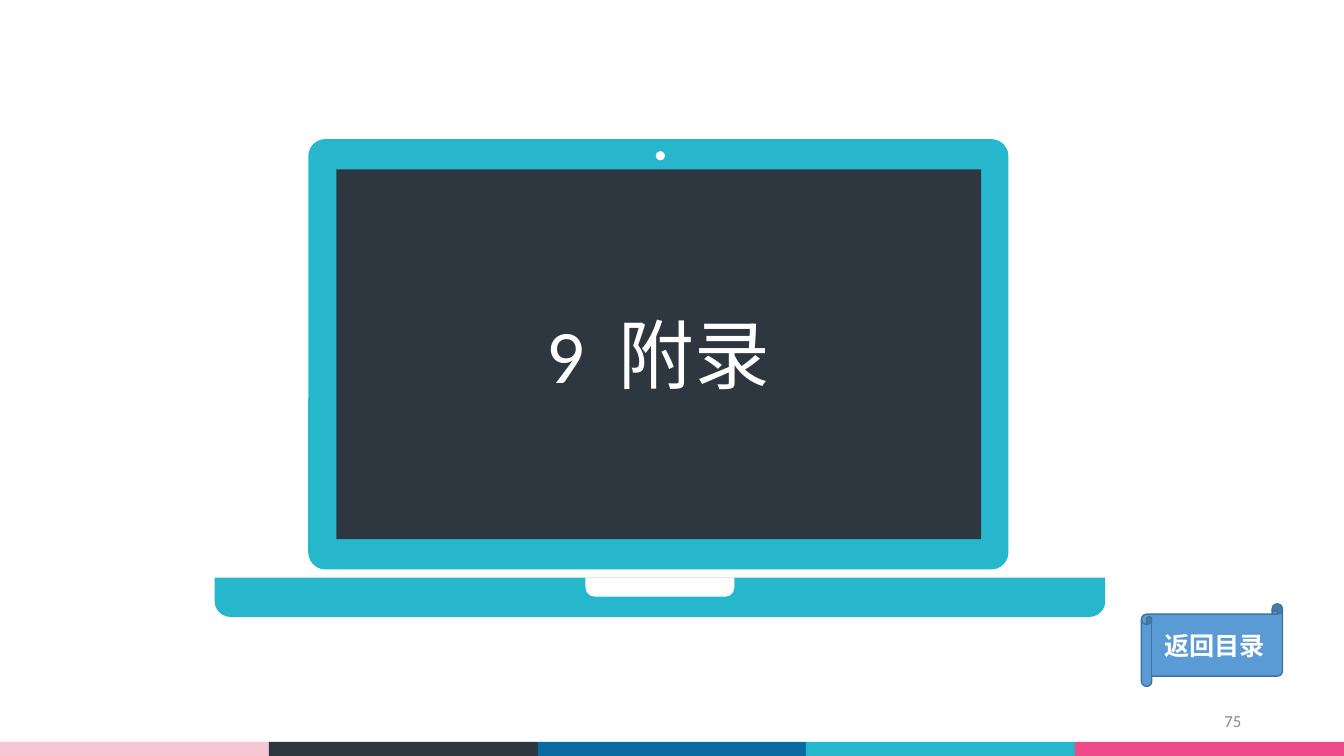
from dataclasses import dataclass

from lxml import etree
from pptx import Presentation
from pptx import util as u
from pptx.dml.color import RGBColor
from pptx.enum import shapes, text
from pptx.oxml import ns

SCALE = 9144
SLIDE_W, SLIDE_H = 1334, 750
COLORS = {
    "white": "FFFFFF",
    "pink": "F6C6D5",
    "dark": "2E3740",
    "blue": "0A6AA1",
    "teal": "26B7CC",
    "magenta": "ED4989",
    "scroll": "5B9BD5",
    "scroll_edge": "41719C",
    "grey": "898989",
}
STRIPE_COLORS = ("pink", "dark", "blue", "teal", "magenta")
STRIPE_TOP = 736
LATIN, CHINESE = "Calibri", "Noto Sans CJK SC"
PRESET = shapes.MSO_SHAPE


@dataclass(frozen=True)
class Block:
    preset: shapes.MSO_SHAPE
    left: int
    top: int
    width: int
    height: int
    fill: str
    adjustments: tuple[float, ...] = ()
    rotation: int = 0
    edge: str | None = None


LAPTOP = (
    Block(PRESET.ROUNDED_RECTANGLE, 306, 138, 695, 427, "teal", (0.04,)),
    Block(PRESET.OVAL, 651, 150, 9, 9, "white"),
    Block(PRESET.ROUND_2_SAME_RECTANGLE, 213, 573, 884, 39, "teal", (0.4, 0), 180),
    Block(PRESET.ROUND_2_SAME_RECTANGLE, 581, 573, 148, 19, "white", (0.5, 0), 180),
    Block(PRESET.RECTANGLE, 334, 168, 640, 367, "dark"),
)
BACK_SCROLL = Block(PRESET.HORIZONTAL_SCROLL, 1133, 599, 140, 82, "scroll",
                    (0.125,), edge="scroll_edge")


def px(length: int) -> u.Emu:
    return u.Emu(length * SCALE)


def color(name: str) -> RGBColor:
    return RGBColor.from_string(COLORS[name])


def draw_block(slide, block: Block):
    shape = slide.shapes.add_shape(block.preset, px(block.left), px(block.top),
                                   px(block.width), px(block.height))
    shape.shadow.inherit = False
    shape.rotation = block.rotation
    for index, value in enumerate(block.adjustments):
        shape.adjustments[index] = value
    shape.fill.solid()
    shape.fill.fore_color.rgb = color(block.fill)
    if block.edge:
        shape.line.color.rgb = color(block.edge)
        shape.line.width = u.Pt(1)
    else:
        shape.line.fill.background()
    return shape


def add_box(slide, left: int, top: int, width: int, height: int):
    return slide.shapes.add_textbox(px(left), px(top), px(width), px(height))


def write(shape, *pieces: str, size: int, fill: str, font: str = LATIN,
          bold: bool = False, align=text.PP_ALIGN.CENTER,
          anchor=text.MSO_ANCHOR.MIDDLE, wrap: bool = True,
          gap: int = 0) -> None:
    frame = shape.text_frame
    frame.word_wrap = wrap
    frame.vertical_anchor = anchor
    paragraph = frame.paragraphs[0]
    paragraph.alignment = align
    for piece in pieces:
        run = paragraph.add_run()
        run.text = piece
        run.font.size = u.Pt(size)
        run.font.bold = bold
        run.font.color.rgb = color(fill)
        run.font.name = font
        properties = run._r.get_or_add_rPr()
        etree.SubElement(properties, ns.qn("a:ea"), typeface=CHINESE)
        if piece == " ":
            properties.set("spc", str(gap * 100))


def main() -> None:
    deck = Presentation()
    deck.slide_width, deck.slide_height = px(SLIDE_W), px(SLIDE_H)
    slide = deck.slides.add_slide(deck.slide_layouts[6])

    edges = [round(i * SLIDE_W / len(STRIPE_COLORS))
             for i in range(len(STRIPE_COLORS) + 1)]
    for left, right, fill in zip(edges, edges[1:], STRIPE_COLORS):
        draw_block(slide, Block(PRESET.RECTANGLE, left, STRIPE_TOP,
                                right - left, SLIDE_H - STRIPE_TOP, fill))

    for part in LAPTOP:
        draw_block(slide, part)

    chapter_title = add_box(slide, 532, 301, 243, 100)
    write(chapter_title, "9", " ", "附录", size=54, fill="white", wrap=False,
          anchor=text.MSO_ANCHOR.TOP, gap=12)

    page_number = add_box(slide, 942, 695, 300, 40)
    write(page_number, "75", size=12, fill="grey", align=text.PP_ALIGN.RIGHT)

    back_to_contents = draw_block(slide, BACK_SCROLL)
    write(back_to_contents, "返回目录", size=18, fill="white", font=CHINESE, bold=True)

    deck.save("out.pptx")


if __name__ == "__main__":
    main()
